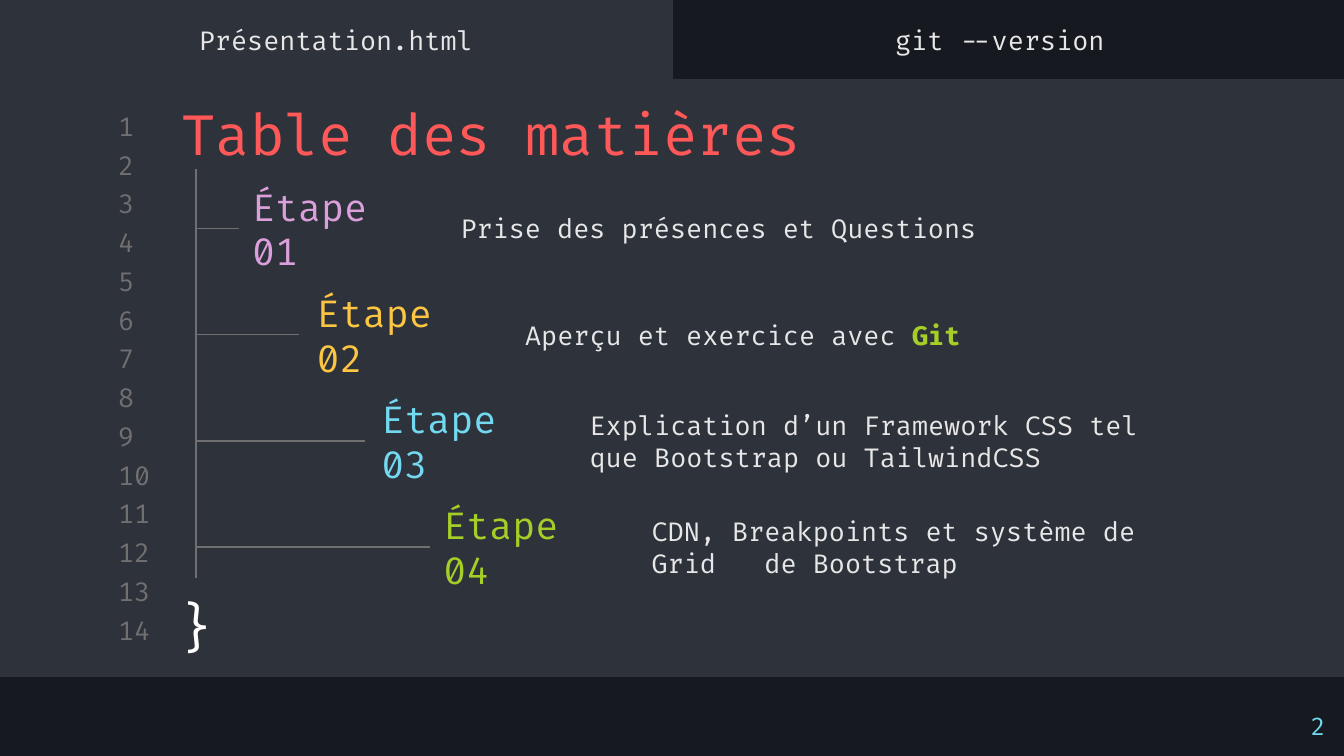
import pptx
import pptx.dml.color
import pptx.enum.shapes
import pptx.enum.text
import pptx.oxml.ns
import pptx.util
import lxml.etree

Pt = pptx.util.Pt
ALIGN = pptx.enum.text.PP_ALIGN
ANCHOR = pptx.enum.text.MSO_ANCHOR
FONT = "Fira Code"
COLORS = {
    "ink": "16191F", "panel": "2E323B", "muted": "707070", "text": "E7E7E7",
    "white": "FFFFFF", "red": "FF5858", "pink": "DBA0DB", "yellow": "FCC642",
    "cyan": "72D9F0", "green": "A5CF27",
}
# Label, colour, left edge, gap before the label, description runs
STEPS = [
    ("Étape 01", "pink", 128, 0, [("Prise des présences et Questions", "text")]),
    ("Étape 02", "yellow", 162.6, 2.2, [("Aperçu et exercice avec ", "text"), ("Git", "green")]),
    ("Étape 03", "cyan", 197.2, 1.4,
     [("Explication d’un Framework CSS tel que Bootstrap ou TailwindCSS", "text")]),
    ("Étape 04", "green", 230.4, 0,
     [("CDN, Breakpoints et système de Grid   de Bootstrap", "text")]),
]


def rgb(name):
    return pptx.dml.color.RGBColor.from_string(COLORS[name])


def add_text(slide, box, text, color="text", size=14, align=ALIGN.LEFT, anchor=ANCHOR.MIDDLE):
    """Text is a string, or a list of (words, colour) runs; accented runs are bold."""
    label = slide.shapes.add_textbox(*map(Pt, box))
    frame = label.text_frame
    frame.word_wrap = True
    frame.vertical_anchor = anchor
    frame.margin_left = frame.margin_right = Pt(7.2)
    frame.margin_top = frame.margin_bottom = Pt(7.2)
    paragraph = frame.paragraphs[0]
    paragraph.alignment = align
    runs = [(text, color)] if isinstance(text, str) else text
    for words, run_color in runs:
        run = paragraph.add_run()
        run.text = words
        run.font.name = FONT
        run.font.size = Pt(size)
        run.font.color.rgb = rgb(run_color)
        if run_color != color:
            run.font.bold = True
    return label


def add_panel(slide, box):
    panel = slide.shapes.add_shape(pptx.enum.shapes.MSO_SHAPE.RECTANGLE, *map(Pt, box))
    panel.shadow.inherit = False
    panel.fill.solid()
    panel.fill.fore_color.rgb = rgb("panel")
    panel.line.color.rgb = rgb("panel")
    panel.line.width = Pt(0.75)


def add_branch(slide, x1, y1, x2, y2):
    branch = slide.shapes.add_connector(
        pptx.enum.shapes.MSO_CONNECTOR.STRAIGHT, *map(Pt, (x1, y1, x2, y2)))
    branch.line.color.rgb = rgb("muted")
    branch.line.width = Pt(0.75)
    lxml.etree.SubElement(branch._element.spPr, pptx.oxml.ns.qn("a:effectLst"))
    return branch


def add_editor(slide, left, top, width, height):
    """Editor window: code area, active tab and both tab titles."""
    tab_width = width / 2
    add_panel(slide, (left, top + 42.5, width, height))
    add_panel(slide, (left, top, tab_width, 46.8))
    for index, title in enumerate(["Présentation.html", "git --version "]):
        add_text(slide, (left + index * tab_width, top + 7.2, tab_width, 28), title,
                 align=ALIGN.CENTER)


def add_line_numbers(slide, left, top, width, pitch, count):
    for index in range(count):
        add_text(slide, (left, top + index * pitch, width, 17.3), str(index + 1), "muted")


def add_step_tree(slide, left, top, pitch):
    """Trunk with one branch, label and description per step."""
    label_width, row_height = 111.6, 46
    add_branch(slide, left, top - 8.6, left, top + 210.2)
    for index, (name, color, x, gap, description) in enumerate(STEPS):
        y = top + index * pitch
        label = add_text(slide, (x, y, label_width, row_height), name, color, size=20)
        add_text(slide, (x + label_width, y, 313.2, row_height), description)
        middle = y + row_height / 2
        branch = add_branch(slide, left, middle, x - gap, middle)
        if not gap:
            branch.end_connect(label, 1)


def main():
    deck = pptx.Presentation()
    deck.slide_width, deck.slide_height = Pt(720), Pt(405)
    slide = deck.slides.add_slide(deck.slide_layouts[6])
    slide.background.fill.solid()
    slide.background.fill.fore_color.rgb = rgb("ink")

    add_editor(slide, 0, 0, 720, 319.7)
    add_line_numbers(slide, 56.2, 58.9, 33.8, 20.75, 14)

    # Title, closing brace and page number
    add_text(slide, (90, 46.1, 573.8, 42.5), "Table des matières", "red", size=30,
             anchor=ANCHOR.TOP)
    add_text(slide, (85.7, 311, 39.6, 48.2), "}", "white", size=28,
             align=ALIGN.CENTER, anchor=ANCHOR.TOP)
    add_text(slide, (673.9, 373.7, 43.2, 31), "2", "cyan", size=13,
             align=ALIGN.RIGHT, anchor=ANCHOR.TOP)

    add_step_tree(slide, 105.1, 99.4, 56.9)
    deck.save("out.pptx")


if __name__ == "__main__":
    main()
